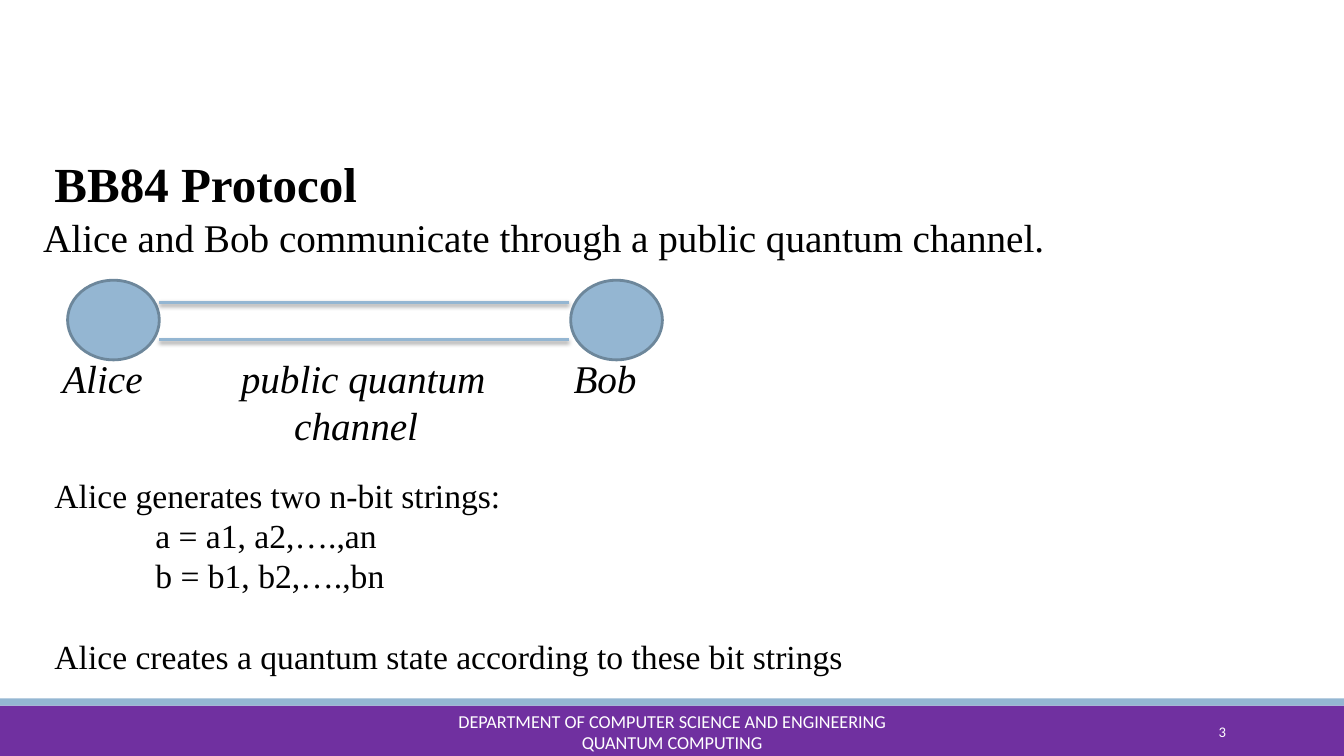
import pptx
import pptx.util
import pptx.oxml
import pptx.oxml.ns
import pptx.dml.color
import pptx.enum.shapes
import pptx.enum.text
from pptx.util import Inches

SERIF = "Times New Roman"
STEEL = "94B6D2"
ALIGN = pptx.enum.text.PP_ALIGN
ANCHOR = pptx.enum.text.MSO_ANCHOR
SHAPE = pptx.enum.shapes.MSO_SHAPE


def color(value):
    return pptx.dml.color.RGBColor.from_string(value)


def write(box, lines, size, font=SERIF, fill="000000", bold=False, italic=False,
          align=ALIGN.LEFT, anchor=ANCHOR.TOP, spacing=None, indents=()):
    frame = box.text_frame
    frame.word_wrap = True
    frame.auto_size = pptx.enum.text.MSO_AUTO_SIZE.NONE
    frame.vertical_anchor = anchor
    frame.text = "\n".join(lines)
    for index, para in enumerate(frame.paragraphs):
        para.alignment = align
        para.space_before = pptx.util.Pt(0)
        if spacing:
            para.line_spacing = pptx.util.Pt(spacing)
        properties = para._p.get_or_add_pPr()
        properties.set("marL", str(Inches(indents[index] if indents else 0)))
        properties.set("indent", "0")
        properties.append(pptx.oxml.parse_xml(f"<a:buNone {pptx.oxml.ns.nsdecls('a')}/>"))
        for span in para.runs:
            span.font.name = font
            span.font.size = pptx.util.Pt(size)
            span.font.bold = bold
            span.font.italic = italic
            span.font.color.rgb = color(fill)


deck = pptx.Presentation()
deck.slide_width = Inches(13.33)
deck.slide_height = Inches(7.5)
page = deck.slides.add_slide(deck.slide_layouts[1])
page.background.fill.solid()
page.background.fill.fore_color.rgb = color("FFFFFF")

for top, height, fill in [(7, 0.5, "7030A0"), (6.93, 0.07, STEEL)]:
    band = page.shapes.add_shape(SHAPE.RECTANGLE, 0, Inches(top), deck.slide_width, Inches(height))
    band.shadow.inherit = False
    band.fill.solid()
    band.fill.fore_color.rgb = color(fill)
    band.line.fill.background()

title = page.shapes.title
title.left, title.top, title.width, title.height = map(Inches, (0.44, 1.47, 3.67, 0.7))
write(title, ["BB84 Protocol"], 35, bold=True)

intro = page.shapes.add_textbox(Inches(0.33), Inches(2.07), Inches(12.57), Inches(0.6))
write(intro, ["Alice and Bob communicate through a public quantum channel."], 28, spacing=33.5)

for left in (0.67, 5.66):
    party = page.shapes.add_shape(SHAPE.OVAL, Inches(left), Inches(2.78), Inches(0.91), Inches(0.79))
    party.shadow.inherit = False
    party.fill.solid()
    party.fill.fore_color.rgb = color(STEEL)
    party.line.color.rgb = color("6D879B")
    party.line.width = pptx.util.Pt(2)

for level in (3, 3.37):
    channel = page.shapes.add_connector(pptx.enum.shapes.MSO_CONNECTOR.STRAIGHT,
                                        Inches(1.58), Inches(level), Inches(5.64), Inches(level))
    channel.line.color.rgb = color(STEEL)
    channel.line.width = pptx.util.Pt(2)
    channel._element.spPr.append(pptx.oxml.parse_xml(
        f"<a:effectLst {pptx.oxml.ns.nsdecls('a')}>"
        f'<a:outerShdw blurRad="{pptx.util.Pt(3.1)}" dist="{pptx.util.Pt(1.6)}" dir="5400000" rotWithShape="0">'
        '<a:srgbClr val="000000"><a:alpha val="38000"/></a:srgbClr></a:outerShdw></a:effectLst>'))

labels = [
    (0.52, 1.2, ["Alice"], (0,)),
    (2.29, 3, ["public quantum", "channel"], (0, 0.53)),
    (5.59, 1.2, ["Bob"], (0,)),
]
for left, width, lines, indents in labels:
    label = page.shapes.add_textbox(Inches(left), Inches(3.47), Inches(width), Inches(0.1 + 0.47 * len(lines)))
    write(label, lines, 28, italic=True, spacing=33.5, indents=indents)

body = page.placeholders[1]
body.left, body.top, body.width, body.height = map(Inches, (0.44, 4.66, 8.09, 2.12))
write(body, ["Alice generates two n-bit strings:", "a = a1, a2,….,an", "b = b1, b2,….,bn",
             "Alice creates a quantum state according to these bit strings"],
      24, spacing=28.75, indents=(0, 1, 1, 0))
body.text_frame.paragraphs[-1].space_before = pptx.util.Pt(28.75)

footer = page.shapes.add_textbox(Inches(4.03), Inches(7.06), Inches(5.27), Inches(0.4))
write(footer, ["DEPARTMENT OF COMPUTER SCIENCE AND ENGINEERING", "QUANTUM COMPUTING"], 13,
      font="Calibri", fill="FFFFFF", align=ALIGN.CENTER, anchor=ANCHOR.MIDDLE)
number = page.shapes.add_textbox(Inches(10.83), Inches(7.06), Inches(1.43), Inches(0.4))
write(number, ["3"], 10.5, font="Calibri", fill="FFFFFF", align=ALIGN.RIGHT, anchor=ANCHOR.MIDDLE)

deck.save("out.pptx")
